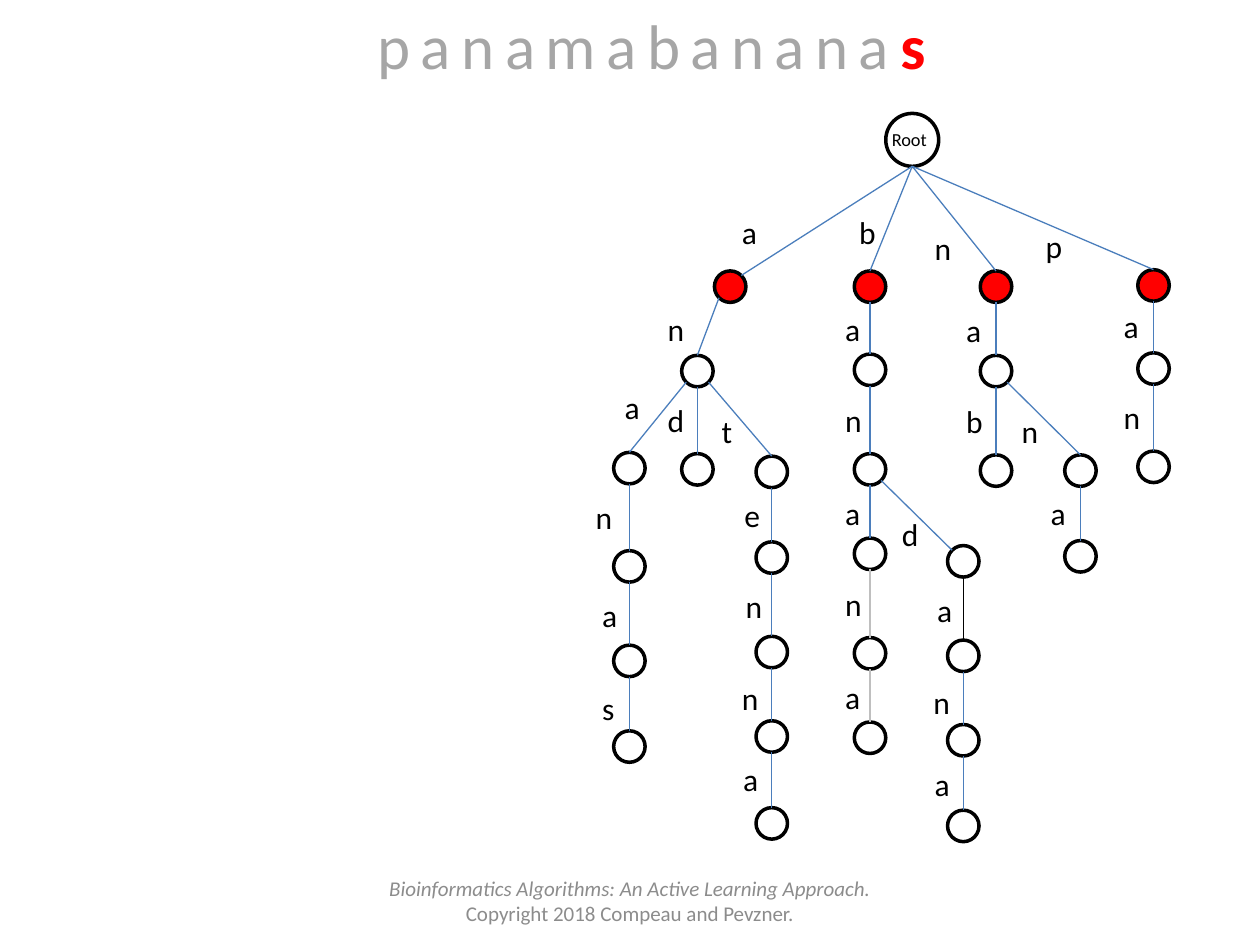
from dataclasses import dataclass
from math import sqrt
from lxml.etree import SubElement as sub
from pptx import Presentation
from pptx.dml.color import RGBColor as RGB
from pptx.enum.shapes import MSO_CONNECTOR as LINK, MSO_SHAPE as SHAPE
from pptx.enum.text import MSO_ANCHOR as ANCHOR, MSO_AUTO_SIZE as FIT, PP_ALIGN as ALIGN
from pptx.oxml.ns import qn
from pptx.util import Inches, Pt


@dataclass(frozen=True)
class Theme:
    font: str = "Calibri"
    ink: str = "000000"
    paper: str = "FFFFFF"
    hot: str = "FF0000"
    edge: str = "4B7EBC"
    pale: str = "BFBFBF"
    faded: str = "A6A6A6"
    foot: str = "8C8C8C"
    title: float = 36
    label: float = 18
    note: float = 12
    root: float = 10.5
    ring: float = 2
    thin: float = 0.75


T = Theme()
WIDE, HIGH = 10, 7.5
SIZE = 0.25
ROOT = (7.03, 0.9, 0.42)

# Each trie path maps to node left, node top, label left, label top.
TRIE = {
    "a": (5.67, 2.15, 5.79, 1.64),
    "an": (5.41, 2.82, 5.2, 2.41),
    "ana": (4.87, 3.59, 4.86, 3.03),
    "anan": (4.87, 4.37, 4.63, 3.9),
    "anana": (4.87, 5.12, 4.68, 4.68),
    "ananas": (4.87, 5.8, 4.68, 5.42),
    "and": (5.41, 3.6, 5.2, 3.13),
    "ant": (6, 3.62, 5.63, 3.22),
    "ante": (6, 4.3, 5.81, 3.89),
    "anten": (6, 5.05, 5.82, 4.61),
    "antenn": (6, 5.72, 5.79, 5.34),
    "antenna": (6, 6.41, 5.8, 5.98),
    "b": (6.78, 2.15, 6.72, 1.64),
    "ba": (6.78, 2.81, 6.61, 2.41),
    "ban": (6.78, 3.6, 6.61, 3.13),
    "bana": (6.78, 4.27, 6.61, 3.87),
    "banan": (6.78, 5.06, 6.61, 4.59),
    "banana": (6.78, 5.73, 6.61, 5.33),
    "band": (7.52, 4.33, 7.06, 4.04),
    "banda": (7.52, 5.08, 7.34, 4.64),
    "bandan": (7.52, 5.75, 7.31, 5.37),
    "bandana": (7.52, 6.43, 7.32, 6.02),
    "n": (7.78, 2.15, 7.32, 1.77),
    "na": (7.78, 2.82, 7.57, 2.42),
    "nab": (7.78, 3.61, 7.57, 3.14),
    "nan": (8.45, 3.61, 8.01, 3.22),
    "nana": (8.45, 4.29, 8.24, 3.87),
    "p": (9.03, 2.14, 8.2, 1.75),
    "pa": (9.03, 2.8, 8.82, 2.39),
    "pan": (9.03, 3.58, 8.82, 3.11),
}
TINTS = {"banan": T.pale, "banana": T.pale, "banda": T.ink}
SIDES = {"a": 1, "band": -1}


def write(para, text, size=T.label, color=T.ink, bold=False, italic=False, gap=0):
    run = para.add_run()
    run.text = text
    font = run.font
    font.name, font.size = T.font, Pt(size)
    font.bold, font.italic = bold, italic
    font.color.rgb = RGB.from_string(color)
    if gap:
        run._r.get_or_add_rPr().set("spc", str(gap * 100))


def box(slide, x, y, w, h, wrap=True, fit=FIT.SHAPE_TO_FIT_TEXT):
    frame = slide.shapes.add_textbox(*map(Inches, (x, y, w, h))).text_frame
    frame.word_wrap, frame.auto_size = wrap, fit
    return frame


def node(slide, x, y, size=SIZE, fill=T.paper):
    dot = slide.shapes.add_shape(SHAPE.OVAL, *map(Inches, (x, y, size, size)))
    dot.shadow.inherit = False
    dot.fill.solid()
    dot.fill.fore_color.rgb = RGB.from_string(fill)
    dot.line.color.rgb = RGB.from_string(T.ink)
    dot.line.width = Pt(T.ring)
    return dot


def rim(x, y, size, side, down):
    half = size / 2
    reach = half / sqrt(2) if side else half
    return x + half + side * reach, y + half + down * reach


def link(slide, start, end, color, top=None):
    line = slide.shapes.add_connector(LINK.STRAIGHT, *map(Inches, start + end))
    line.line.color.rgb = RGB.from_string(color)
    line.line.width = Pt(T.thin)
    sub(line._element.spPr, qn("a:effectLst"))
    if top is not None:
        line.end_connect(top, 0)


def branch(slide, word):
    x, y, left, top = TRIE[word]
    dot = node(slide, x, y, fill=T.paper if word[1:] else T.hot)
    up = word[:-1]
    if up:
        px, py = TRIE[up][:2]
        lean = (x - px > SIZE) - (px - x > SIZE)
        lean = lean or (-1 if word == "an" else 0)
        start = rim(px, py, SIZE, lean, 1)
    else:
        start = rim(*ROOT, 0, 1)
    side = SIDES.get(word, 0)
    link(slide, start, rim(x, y, SIZE, side, -1),
         TINTS.get(word, T.edge), None if side else dot)
    frame = box(slide, left, top, 0.33, 0.4, wrap=False)
    write(frame.paragraphs[0], word[-1])


def head(slide):
    title = slide.shapes.title
    title.left, title.top, title.width, title.height = map(Inches, (2.67, 0, 5, 0.71))
    frame = title.text_frame
    frame.word_wrap, frame.auto_size = True, FIT.SHAPE_TO_FIT_TEXT
    frame.vertical_anchor = ANCHOR.TOP
    para = frame.paragraphs[0]
    para.alignment = ALIGN.CENTER
    write(para, "panamabanana", size=T.title, color=T.faded, gap=6)
    write(para, "s", size=T.title, color=T.hot, bold=True, gap=6)


def foot(slide):
    wide = 4.33
    frame = box(slide, (WIDE - wide) / 2, 6.95, wide, 0.4, fit=FIT.NONE)
    frame.vertical_anchor = ANCHOR.MIDDLE
    rows = (("Bioinformatics Algorithms: An Active Learning Approach.", True),
            ("Copyright 2018 Compeau and Pevzner.", False))
    for para, (text, slant) in zip((frame.paragraphs[0], frame.add_paragraph()), rows):
        para.alignment = ALIGN.CENTER
        write(para, text, size=T.note, color=T.foot, italic=slant)


def main():
    deck = Presentation()
    deck.slide_width, deck.slide_height = Inches(WIDE), Inches(HIGH)
    slide = deck.slides.add_slide(deck.slide_layouts[5])
    head(slide)
    node(slide, *ROOT)
    write(box(slide, 6.98, 0.97, 0.55, 0.28).paragraphs[0], "Root", size=T.root)
    for word in TRIE:
        branch(slide, word)
    foot(slide)
    deck.save("out.pptx")


if __name__ == "__main__":
    main()
